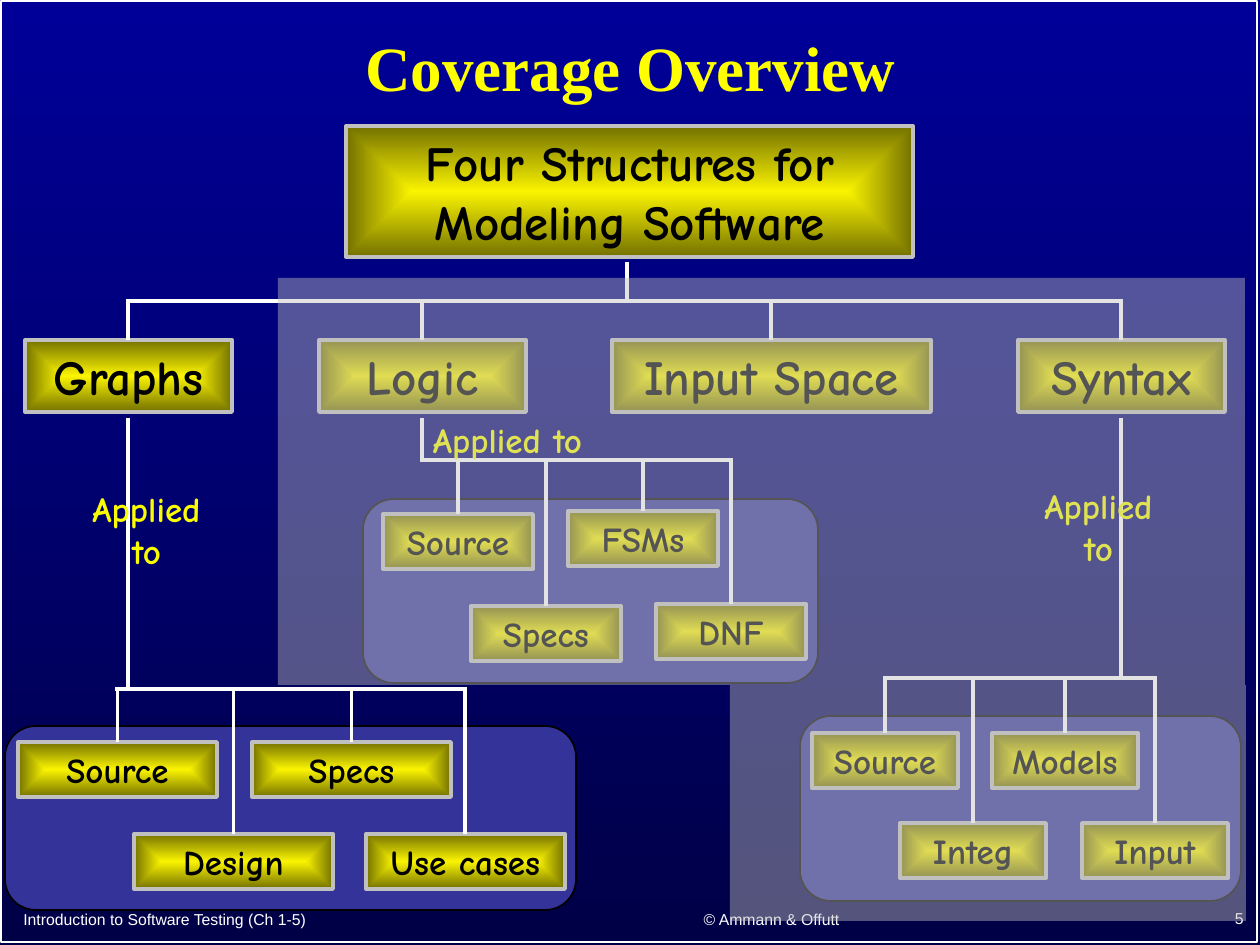
from dataclasses import dataclass
from typing import NamedTuple

from lxml.etree import SubElement
from pptx import Presentation
from pptx.dml.color import RGBColor
from pptx.enum.shapes import MSO_CONNECTOR as Connector, MSO_SHAPE as Preset
from pptx.enum.text import MSO_ANCHOR as Anchor, PP_ALIGN as Align
from pptx.oxml import parse_xml
from pptx.oxml.ns import nsdecls, qn
from pptx.util import Emu, Pt

EMU_PER_PX = 914400 / 126
COLORS = {
    "sky": "000099",
    "night": "000047",
    "white": "FFFFFF",
    "black": "000000",
    "title": "FFFF00",
    "label": "FAFD00",
    "glow": "FAF400",
    "olive": "747100",
    "silver": "C0C0C0",
    "panel": "333399",
}
BOX_FONT = "Comic Neue"
LEAF_HEIGHT = 55


class Area(NamedTuple):
    left: int
    top: int
    width: int
    height: int


class Leaf(NamedTuple):
    text: str
    left: int
    top: int


@dataclass
class Style:
    size: int
    color: str
    font: str = BOX_FONT
    bold: bool = True
    align: Align = Align.CENTER
    anchor: Anchor = Anchor.TOP


@dataclass
class Tree:
    panel: Area
    leaf_width: int
    leaves: list[Leaf]
    stem_x: int
    bar_y: int
    label: Area


HEADING = Style(28, "black")
LEAF = Style(20, "black")
LABEL = Style(20, "label")
TITLE = Style(36, "title", "Times New Roman", anchor=Anchor.MIDDLE)

CATEGORIES_TOP = 340
STEM_TOP = 418
MAIN_BAR_Y = 301
CATEGORIES = [("Graphs", 25, 207, 128), ("Logic", 319, 207, 422),
              ("Input Space", 612, 319, 771), ("Syntax", 1018, 207, 1121)]
TREES = [
    Tree(Area(5, 726, 571, 184), 199,
         [Leaf("Source", 18, 742), Leaf("Design", 134, 834),
          Leaf("Specs", 252, 742), Leaf("Use cases", 366, 834)],
         128, 689, Area(69, 481, 155, 97)),
    Tree(Area(363, 499, 455, 184), 150,
         [Leaf("Source", 383, 514), Leaf("Specs", 471, 606),
          Leaf("FSMs", 568, 511), Leaf("DNF", 656, 604)],
         422, 460, Area(398, 412, 219, 55)),
    Tree(Area(800, 716, 441, 185), 146,
         [Leaf("Source", 812, 733), Leaf("Integ", 900, 823),
          Leaf("Models", 992, 733), Leaf("Input", 1082, 823)],
         1121, 678, Area(1021, 478, 155, 97)),
]
VEILS = [Area(278, 278, 967, 407), Area(730, 685, 516, 236)]
FOOTERS = [("Introduction to Software Testing (Ch 1-5)", Area(11, 898, 539, 37), Align.LEFT),
           ("© Ammann & Offutt", Area(571, 897, 401, 38), Align.CENTER),
           ("5", Area(994, 896, 262, 38), Align.RIGHT)]


def px(value: float) -> Emu:
    return Emu(round(value * EMU_PER_PX))


def rgb(name: str) -> RGBColor:
    return RGBColor.from_string(COLORS[name])


def write(shape, text: str, style: Style) -> None:
    frame = shape.text_frame
    frame.word_wrap = True
    frame.vertical_anchor = style.anchor
    frame.text = text
    paragraph = frame.paragraphs[0]
    paragraph.alignment = style.align
    font = paragraph.runs[0].font
    font.name = style.font
    font.size = Pt(style.size)
    font.bold = style.bold
    font.color.rgb = rgb(style.color)


def set_gradient(fill, start: str, end: str) -> None:
    fill.gradient()
    for stop, name in zip(fill.gradient_stops, (start, end)):
        stop.color.rgb = rgb(name)


def add_block(slide, preset, area: Area, fill: str | None = None,
              line: str | None = None, weight: float = 1):
    shape = slide.shapes.add_shape(preset, *map(px, area))
    shape.shadow.inherit = False
    if fill:
        shape.fill.solid()
        shape.fill.fore_color.rgb = rgb(fill)
    else:
        shape.fill.background()
    if line:
        shape.line.color.rgb = rgb(line)
        shape.line.width = Pt(weight)
    else:
        shape.line.fill.background()
    return shape


def add_box(slide, area: Area, text: str, style: Style) -> None:
    shape = add_block(slide, Preset.RECTANGLE, area, line="silver", weight=2.25)
    set_gradient(shape.fill, "glow", "olive")
    gradient = shape._element.spPr.find(qn("a:gradFill"))
    gradient.replace(gradient.find(qn("a:lin")), parse_xml(
        f'<a:path {nsdecls("a")} path="rect">'
        '<a:fillToRect l="50000" t="50000" r="50000" b="50000"/></a:path>'))
    write(shape, text, style)


def add_label(slide, area: Area, text: str, style: Style) -> None:
    write(slide.shapes.add_textbox(*map(px, area)), text, style)


def add_line(slide, x1: float, y1: float, x2: float, y2: float) -> None:
    line = slide.shapes.add_connector(Connector.STRAIGHT, px(x1), px(y1), px(x2), px(y2))
    line.line.color.rgb = rgb("white")
    line.line.width = Pt(2.25)
    SubElement(line._element.spPr, qn("a:effectLst"))


def add_tree(slide, tree: Tree) -> None:
    add_block(slide, Preset.ROUNDED_RECTANGLE, tree.panel, "panel", "black")
    for leaf in tree.leaves:
        add_box(slide, Area(leaf.left, leaf.top, tree.leaf_width, LEAF_HEIGHT), leaf.text, LEAF)
    drops = [leaf.left + tree.leaf_width / 2 for leaf in tree.leaves]
    add_line(slide, tree.stem_x, STEM_TOP, tree.stem_x, tree.bar_y)
    add_line(slide, min(tree.stem_x, *drops) - 2, tree.bar_y, max(drops) + 2, tree.bar_y)
    for x, leaf in zip(drops, tree.leaves):
        add_line(slide, x, tree.bar_y, x, leaf.top)
    add_label(slide, tree.label, "Applied to", LABEL)


def add_veil(slide, area: Area) -> None:
    shape = add_block(slide, Preset.RECTANGLE, area, "silver")
    color = shape._element.spPr.find(qn("a:solidFill")).find(qn("a:srgbClr"))
    SubElement(color, qn("a:alpha"), val="44000")


def main() -> None:
    presentation = Presentation()
    presentation.slide_width, presentation.slide_height = px(1260), px(945)
    slide = presentation.slides.add_slide(presentation.slide_layouts[5])
    background = slide.background.fill
    set_gradient(background, "sky", "night")
    background.gradient_angle = 270

    add_block(slide, Preset.RECTANGLE, Area(1, 1, 1256, 941), line="white")
    for text, area, align in FOOTERS:
        add_label(slide, area, text, Style(9, "white", "Arial", False, align, Anchor.BOTTOM))

    title = slide.shapes.title
    title.left, title.top, title.width, title.height = map(px, Area(95, 8, 1071, 126))
    write(title, "Coverage Overview", TITLE)
    title.text_frame.paragraphs[0].line_spacing = 0.9

    add_box(slide, Area(346, 126, 567, 131), "Four Structures for Modeling Software", HEADING)
    for text, left, width, drop_x in CATEGORIES:
        add_box(slide, Area(left, CATEGORIES_TOP, width, 72), text, HEADING)
        add_line(slide, drop_x, MAIN_BAR_Y, drop_x, CATEGORIES_TOP)
    add_line(slide, 126, MAIN_BAR_Y, 1123, MAIN_BAR_Y)
    add_line(slide, 627, 262, 627, MAIN_BAR_Y)

    for tree in TREES:
        add_tree(slide, tree)
    for area in VEILS:
        add_veil(slide, area)
    presentation.save("out.pptx")


if __name__ == "__main__":
    main()
